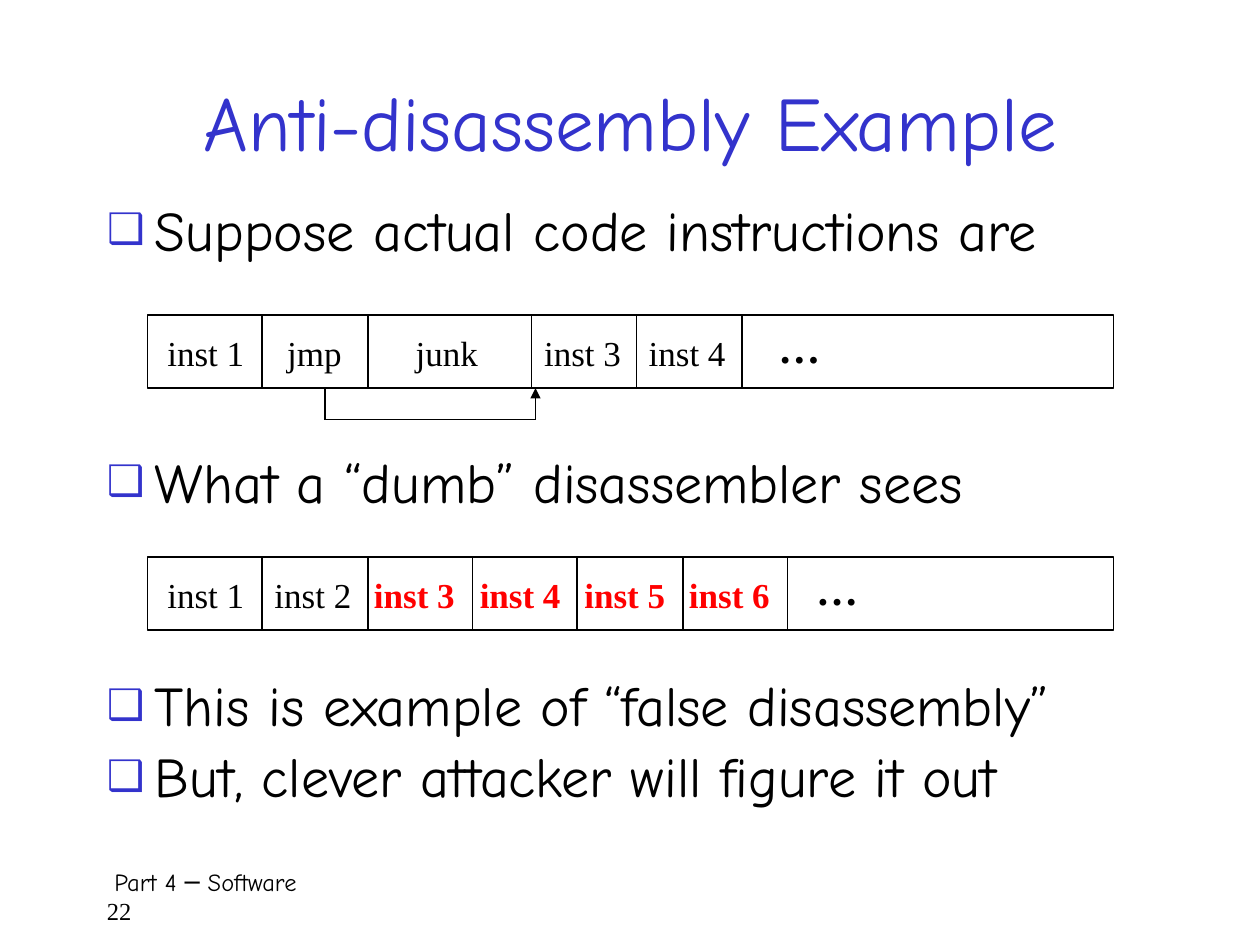
from lxml.etree import SubElement
from pptx import Presentation
from pptx.dml.color import RGBColor
from pptx.enum.shapes import MSO_CONNECTOR, MSO_SHAPE
from pptx.enum.text import MSO_ANCHOR, MSO_AUTO_SIZE, PP_ALIGN
from pptx.oxml.ns import qn
from pptx.util import Pt

PX = 9144  # 100 px to the inch
HAND, SERIF = "Comic Neue", "Times New Roman"
BLACK, BLUE, RED = "000000", "3333CC", "FF0000"
ROW_LEFT, ROW_WIDTH, ROW_HEIGHT = 117, 767, 58

# Each cell: text, label left, label width, right edge of the cell, colour
ACTUAL_CODE = [
    ("inst 1", 123, 86, 208, BLACK),
    ("jmp", 218, 65, 292, BLACK),
    ("junk", 320, 71, 422, BLACK),
    ("inst 3", 422, 86, 505, BLACK),
    ("inst 4", 505, 86, 589, BLACK),
]
SEEN_CODE = [
    ("inst 1", 123, 86, 208, BLACK),
    ("inst 2", 208, 86, 292, BLACK),
    ("inst 3", 287, 93, 375, RED),
    ("inst 4", 371, 93, 458, RED),
    ("inst 5", 454, 93, 542, RED),
    ("inst 6", 537, 93, 625, RED),
]


def px(*lengths):
    return [length * PX for length in lengths]


def color(hex_code):
    return RGBColor.from_string(hex_code)


def style(para, size, font, hex_code, bold=False):
    para.font.size = Pt(size)
    para.font.name = font
    para.font.color.rgb = color(hex_code)
    para.font.bold = bold


def place(shape, left, top, width, height):
    shape.left, shape.top, shape.width, shape.height = px(left, top, width, height)


def add_box(slide, *area):
    box = slide.shapes.add_textbox(*px(*area))
    box.text_frame.word_wrap = True
    return box


def add_bullet(para):
    props = para._p.get_or_add_pPr()
    props.set("marL", str(38 * PX))
    props.set("indent", str(-38 * PX))
    before = SubElement(props, qn("a:spcBef"))
    SubElement(before, qn("a:spcPct"), val="20000")
    bullet_color = SubElement(props, qn("a:buClr"))
    SubElement(bullet_color, qn("a:srgbClr"), val=BLUE)
    SubElement(props, qn("a:buSzPct"), val="75000")
    SubElement(props, qn("a:buFont"), typeface="Arial")
    SubElement(props, qn("a:buChar"), char="❑")


def fill_list(box, items, line_spacing=None):
    frame = box.text_frame
    frame.auto_size = MSO_AUTO_SIZE.NONE
    frame.text = "\n".join(items)
    for para in frame.paragraphs:
        add_bullet(para)
        style(para, 32, HAND, BLACK)
        if line_spacing:
            para.line_spacing = line_spacing


def add_label(slide, text, area, size, hex_code, bold):
    box = add_box(slide, *area)
    frame = box.text_frame
    frame.word_wrap = False
    frame.auto_size = MSO_AUTO_SIZE.SHAPE_TO_FIT_TEXT
    frame.text = text
    style(frame.paragraphs[0], size, SERIF, hex_code, bold)


def add_line(slide, start, end, arrow=False):
    line = slide.shapes.add_connector(MSO_CONNECTOR.STRAIGHT, *px(*start, *end))
    line.line.color.rgb = color(BLACK)
    line.line.width = Pt(0.75)
    if arrow:
        SubElement(line.line._get_or_add_ln(), qn("a:tailEnd"), type="triangle")
    SubElement(line._element.spPr, qn("a:effectLst"))


def add_code_row(slide, top, cells, dots_left):
    frame = slide.shapes.add_shape(
        MSO_SHAPE.RECTANGLE, *px(ROW_LEFT, top, ROW_WIDTH, ROW_HEIGHT))
    frame.shadow.inherit = False
    frame.fill.background()
    frame.line.color.rgb = color(BLACK)
    frame.line.width = Pt(0.75)
    for text, left, width, right, hex_code in cells:
        add_label(slide, text, (left, top + 8, width, 43), 20, hex_code, hex_code == RED)
        add_line(slide, (right, top), (right, top + ROW_HEIGHT))
    add_label(slide, "…", (dots_left, top, 53, 50), 24, BLACK, True)


def add_footer(slide):
    frame = add_box(slide, 75, 683, 858, 50).text_frame
    frame.text = "Part 4 ─ Software\n22"
    name, number = frame.paragraphs
    name._p.get_or_add_pPr().set("marL", str(6 * PX))
    style(name, 14, HAND, BLACK)
    style(number, 14, SERIF, BLACK)


def main():
    deck = Presentation()
    deck.slide_width, deck.slide_height = px(1000, 750)
    slide = deck.slides.add_slide(deck.slide_layouts[1])

    # Title
    title = slide.shapes.title
    place(title, 67, 33, 867, 125)
    title.text_frame.text = "Anti-disassembly Example"
    title.text_frame.vertical_anchor = MSO_ANCHOR.MIDDLE
    title.text_frame.paragraphs[0].alignment = PP_ALIGN.CENTER
    style(title.text_frame.paragraphs[0], 44, HAND, BLUE)

    # Bulleted text
    body = slide.placeholders[1]
    place(body, 75, 150, 850, 75)
    fill_list(body, ["Suppose actual code instructions are"])
    fill_list(add_box(slide, 75, 350, 850, 75), ["What a “dumb” disassembler sees"])
    fill_list(add_box(slide, 75, 533, 867, 133),
              ["This is example of “false disassembly”",
               "But, clever attacker will figure it out"], 0.9)

    # Instruction rows
    add_code_row(slide, 250, ACTUAL_CODE, 608)
    add_code_row(slide, 442, SEEN_CODE, 638)

    # Jump over the junk
    add_line(slide, (258, 308), (258, 333))
    add_line(slide, (258, 333), (425, 333))
    add_line(slide, (425, 333), (425, 308), arrow=True)

    add_footer(slide)
    deck.save("out.pptx")


if __name__ == "__main__":
    main()
